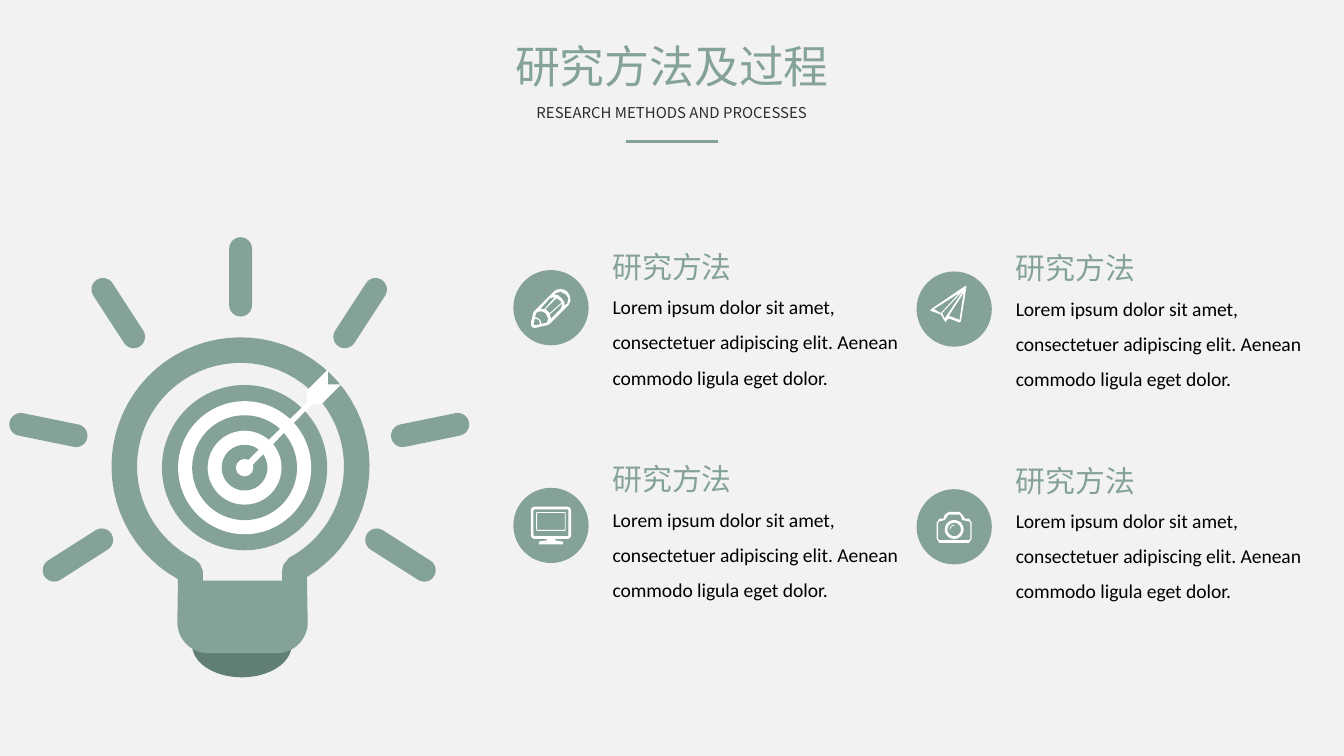
from dataclasses import dataclass
from math import cos, radians, sin

from lxml.etree import SubElement
from pptx import Presentation
from pptx.dml.color import RGBColor
from pptx.enum.shapes import MSO_CONNECTOR, MSO_SHAPE
from pptx.enum.text import MSO_ANCHOR, MSO_AUTO_SIZE, PP_ALIGN
from pptx.oxml.ns import qn
from pptx.util import Inches, Pt


@dataclass(frozen=True)
class Theme:
    """Colours, fonts and type sizes of the slide."""
    back: str = "F2F2F2"
    main: str = "85A299"
    deep: str = "607E74"
    white: str = "FFFFFF"
    ink: str = "292D2E"
    text: str = "000000"
    head: str = "Noto Sans CJK SC"
    body: str = "Calibri"
    title: float = 24
    sub: float = 8
    item: float = 16
    copy: float = 10.5


THEME = Theme()
UNIT = 0.01
LOREM = ("Lorem ipsum dolor sit amet, consectetuer adipiscing elit. "
         "Aenean commodo ligula eget dolor.")


def paint(shape, color):
    """Give a shape a flat fill with no line or shadow."""
    shape.fill.solid()
    shape.fill.fore_color.rgb = RGBColor.from_string(color)
    shape.line.fill.background()
    shape.shadow.inherit = False


def disc(slide, x, y, size, color):
    """Draw a filled circle around a centre."""
    half = size / 2
    paint(slide.shapes.add_shape(MSO_SHAPE.OVAL, Inches(x - half), Inches(y - half),
                                 Inches(size), Inches(size)), color)


def arc(x, y, rx, ry=None, start=0, end=360):
    """Return points along an arc, with angles running clockwise."""
    ry = ry or rx
    count = max(6, abs(end - start) // 5)
    turns = [radians(start + (end - start) * i / count) for i in range(count + 1)]
    return [(x + rx * cos(t), y + ry * sin(t)) for t in turns]


def panel(left, top, right, low, r):
    """Return the outline of a rectangle with round corners."""
    spots = ((right - r, low - r), (left + r, low - r), (left + r, top + r), (right - r, top + r))
    return [p for i, (x, y) in enumerate(spots)
            for p in arc(x, y, r, start=90 * i, end=90 * i + 90)]


def draw(slide, x, y, loops, color):
    """Draw closed loops, in hundredths of an inch from x and y, as one shape."""
    loops = [[(Inches(x + a * UNIT), Inches(y + b * UNIT)) for a, b in loop] for loop in loops]
    pen = slide.shapes.build_freeform(*loops[0][0])
    for i, loop in enumerate(loops):
        if i:
            pen.move_to(*loop[0])
        pen.add_line_segments(loop[1:], close=True)
    paint(pen.convert_to_shape(), color)


def write(shape, box, text, font, size, color, align=PP_ALIGN.LEFT, wrap=True, space=1.0):
    """Place a text shape in its box and fill it with one run."""
    shape.left, shape.top, shape.width, shape.height = map(Inches, box)
    frame = shape.text_frame
    frame.word_wrap = wrap
    frame.auto_size = MSO_AUTO_SIZE.SHAPE_TO_FIT_TEXT
    frame.vertical_anchor = MSO_ANCHOR.TOP
    para = frame.paragraphs[0]
    para.alignment = align
    para.line_spacing = space
    para.space_before = Pt(0)
    run = para.add_run()
    run.text = text
    run.font.name, run.font.size = font, Pt(size)
    run.font.color.rgb = RGBColor.from_string(color)
    SubElement(run.font._element, qn("a:ea")).set("typeface", font)


def header(slide, x, y, width):
    """Place the title, its subtitle and the rule below them."""
    title, sub = slide.placeholders
    mid = x + width / 2
    write(title, (x, y, width, 0.5), "研究方法及过程", THEME.head, THEME.title, THEME.main,
          PP_ALIGN.CENTER, False)
    write(sub, (mid - 1.12, y + 0.48, 2.24, 0.24), "RESEARCH METHODS AND PROCESSES",
          THEME.head, THEME.sub, THEME.ink, PP_ALIGN.CENTER, False)
    rule = slide.shapes.add_connector(MSO_CONNECTOR.STRAIGHT, Inches(mid - 0.34),
                                      Inches(y + 0.81), Inches(mid + 0.34), Inches(y + 0.81))
    rule.line.color.rgb = RGBColor.from_string(THEME.main)
    rule.line.width = Pt(1.5)
    SubElement(rule._element.spPr, qn("a:effectLst"))


def ray(slide, x, y, angle):
    """Draw one round-ended ray around its centre."""
    long, thick = 0.59, 0.17
    bar = slide.shapes.add_shape(MSO_SHAPE.ROUNDED_RECTANGLE, Inches(x - long / 2),
                                 Inches(y - thick / 2), Inches(long), Inches(thick))
    bar.adjustments[0] = 0.5
    bar.rotation = angle
    paint(bar, THEME.main)


def bulb(slide, x, y):
    """Draw the bulb with its rays, target and dart."""
    draw(slide, x, y, [arc(173, 304, 37, 24, 0, 180)], THEME.deep)
    axis = x + 1.71
    ray(slide, axis + 0.01, y + 0.3, 90)
    for gap, drop, angle in ((0.9, 0.57, -57), (1.42, 1.44, -11.5), (1.2, 2.37, 32.5)):
        for side in (1, -1):
            ray(slide, axis + side * gap, y + drop, side * angle)
    shell = (arc(172, 171, 96, start=119, end=419)
             + arc(199, 287, 23, start=0, end=90) + arc(148, 287, 23, start=90, end=180))
    hole = (arc(172, 171, 77, start=116, end=422)
            + [(204, 244), (203, 248), (203, 256), (144, 256), (144, 249), (142, 244)])
    draw(slide, x, y, [shell, hole], THEME.main)
    for i, size in enumerate((1.23, 0.99, 0.78, 0.55, 0.34, 0.13)):
        disc(slide, x + 1.75, y + 1.72, size, THEME.white if i % 2 else THEME.main)
    dart = [(225, 125), (232, 125), (247, 110), (237, 110), (237, 99),
            (221, 115), (222, 123), (175, 169), (175, 172), (179, 172)]
    draw(slide, x, y, [dart], THEME.white)


PENCIL = [
    [(40, 16), (38, 14.6), (35, 14), (32, 14.6), (30, 16), (16, 30), (15, 31), (13, 39), (13, 41),
     (14, 42.5), (16, 43), (25, 41), (27, 40), (41, 26), (42.4, 23), (42, 19)],
    [(40, 25), (38, 26), (38, 24), (36, 21), (33, 18.6), (30, 18), (32, 17), (35, 16), (39, 18),
     (41, 21)],
    [(21, 40), (20, 37), (18, 35.5), (16, 35), (17, 32), (18, 31), (21, 30.6), (24, 32),
     (26, 36), (25, 39)],
    [(17, 41), (16, 41), (15, 40), (16, 36), (19, 37), (20, 40)],
    [(23, 29), (20, 29), (27, 21), (31, 20)],
    [(27, 32), (24, 29), (32, 21), (34, 22), (36, 24)],
    [(28, 36), (27, 33), (36, 25), (36, 27), (35, 29)],
]
PLANE = [
    [(37, 11), (36, 11), (11, 28), (10, 29), (11, 29.5), (18, 32), (21, 37), (21.5, 38),
     (22, 37), (24, 35), (32, 38), (33, 37), (37, 12)],
    [(32, 36), (24, 33), (35, 16)],
    [(19, 31), (35, 14), (21, 35)],
    [(13, 28), (32, 16), (18, 31)],
]
SCREEN = [
    panel(13, 14, 43, 38, 3), panel(15, 16, 41, 36, 1),
    panel(17, 18, 39, 32, 1), panel(17.7, 18.7, 38.3, 31.3, 0.3),
    [(25, 38), (25, 39), (19, 40), (19, 42), (37, 42), (37, 40), (31, 39), (31, 38)],
]
CAMERA = [
    [(39, 22), (36, 22), (34, 19), (32, 17), (24, 17), (21, 19), (20, 22), (17, 22), (15, 25),
     (15, 37), (17, 40), (39, 40), (41, 37), (41, 25)],
    [(40, 37), (39, 38), (17, 38), (16, 37), (16, 25), (17, 24), (21, 23), (23, 20), (24, 19),
     (32, 19), (33, 20), (34, 23), (39, 24), (40, 25)],
    arc(28, 30, 7), arc(28, 30, 5),
    arc(28, 30, 3.4, start=180, end=270) + arc(28, 30, 2.8, start=270, end=180),
]


def item(slide, x, y, drop, icon):
    """Place one method: an icon on a disc, a heading and its text."""
    disc(slide, x + 0.28, y + drop + 0.28, 0.56, THEME.main)
    draw(slide, x, y + drop, icon, THEME.white)
    for top, width, high, text, font, size, color, space in (
            (0, 2, 0.37, "研究方法", THEME.head, THEME.item, THEME.main, 1.0),
            (0.26, 2.47, 0.9, LOREM, THEME.body, THEME.copy, THEME.text, 1.5)):
        box = (x + 0.64, y + top, width, high)
        shape = slide.shapes.add_textbox(*map(Inches, box))
        write(shape, box, text, font, size, color, space=space)


def main():
    """Build the slide and save it."""
    deck = Presentation()
    deck.slide_width, deck.slide_height = Inches(10), Inches(10) * 9 // 16
    slide = deck.slides.add_slide(deck.slide_layouts[0])
    slide.background.fill.solid()
    slide.background.fill.fore_color.rgb = RGBColor.from_string(THEME.back)
    header(slide, 3.72, 0.24, 2.56)
    bulb(slide, 0.07, 1.76)
    for i, icon in enumerate((PENCIL, PLANE, SCREEN, CAMERA)):
        row, col = divmod(i, 2)
        item(slide, 3.82 + 3 * col, 1.8 + 1.58 * row + 0.01 * col, 0.21 + 0.04 * row, icon)
    deck.save("out.pptx")


if __name__ == "__main__":
    main()
